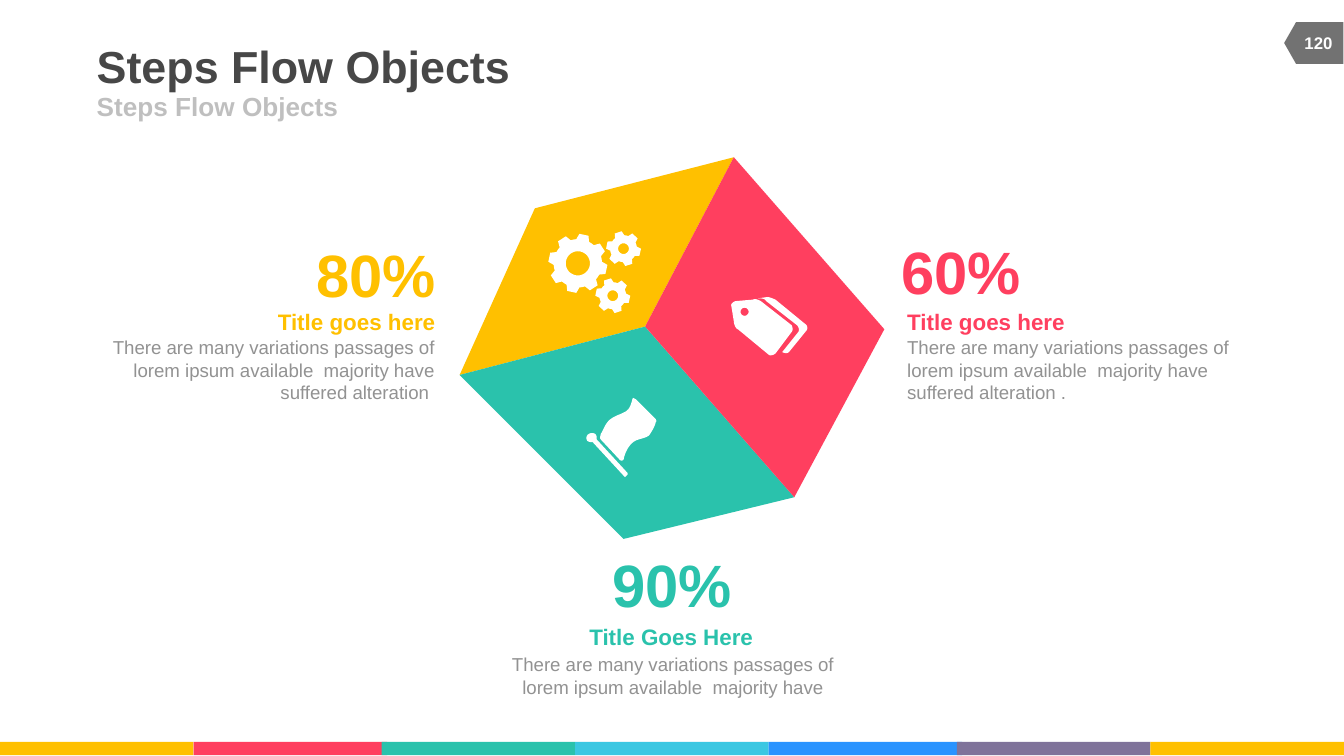
from math import cos, sin, radians
from pptx import Presentation, util as u
from pptx.dml.color import RGBColor
from pptx.enum import shapes as sh, text as tx

IN = u.Inches
FONT = "Arial"
HUES = {
    "gold": "FFC000", "red": "FF3F5F", "teal": "2AC2AC", "sky": "3BC7E2",
    "blue": "2993FF", "plum": "7F739A", "white": "FFFFFF", "dark": "474747",
    "pale": "BFBFBF", "gray": "929292", "badge": "727272",
}
LEFT, MID, RIGHT = tx.PP_ALIGN.LEFT, tx.PP_ALIGN.CENTER, tx.PP_ALIGN.RIGHT
BODY = "There are many variations passages of lorem ipsum available  majority have"

# Cube corners
TOP, CORE, WEST, NORTH = (5.46, 1.17), (4.8, 2.43), (3.42, 2.79), (3.98, 1.55)
EAST, SOUTH, BASE = (6.58, 2.45), (5.91, 3.7), (4.64, 4.01)
FACES = {
    "gold": [TOP, CORE, WEST, NORTH],
    "teal": [CORE, SOUTH, BASE, WEST],
    "red": [CORE, TOP, EAST, SOUTH],
}

# Icon outlines: pairs are corners, sixes are cubic curves
POLE = [(4.44, 3.27), (4.67, 3.52), (4.67, 3.53), (4.66, 3.54), (4.65, 3.55),
        (4.41, 3.29), (4.4, 3.29, 4.38, 3.29, 4.37, 3.28),
        (4.36, 3.27, 4.36, 3.24, 4.38, 3.23),
        (4.39, 3.22, 4.42, 3.22, 4.43, 3.23),
        (4.44, 3.24, 4.44, 3.25, 4.44, 3.27)]
CLOTH = [(4.88, 3.12), (4.88, 3.13, 4.89, 3.13, 4.88, 3.14),
         (4.87, 3.18, 4.85, 3.21, 4.83, 3.24),
         (4.79, 3.27, 4.74, 3.26, 4.7, 3.3),
         (4.67, 3.33, 4.65, 3.37, 4.64, 3.42),
         (4.63, 3.43, 4.62, 3.43, 4.61, 3.42), (4.47, 3.27),
         (4.46, 3.26, 4.47, 3.24, 4.47, 3.23),
         (4.49, 3.2, 4.5, 3.16, 4.53, 3.13),
         (4.56, 3.1, 4.6, 3.09, 4.64, 3.07),
         (4.7, 3.05, 4.7, 2.97, 4.71, 2.96), (4.73, 2.97)]
TAG = [(5.89, 2.47), (5.77, 2.63), (5.76, 2.64, 5.73, 2.65, 5.72, 2.64),
       (5.49, 2.45), (5.48, 2.45, 5.46, 2.42, 5.46, 2.39), (5.44, 2.27),
       (5.44, 2.26, 5.46, 2.24, 5.48, 2.24), (5.6, 2.23),
       (5.62, 2.22, 5.64, 2.23, 5.66, 2.24), (5.89, 2.42),
       (5.9, 2.44, 5.9, 2.46, 5.89, 2.47)]
BACK = [(6, 2.46), (5.87, 2.62), (5.86, 2.63, 5.84, 2.63, 5.82, 2.62),
        (5.94, 2.47), (5.95, 2.45, 5.94, 2.43, 5.93, 2.42), (5.7, 2.24),
        (5.69, 2.22, 5.66, 2.22, 5.64, 2.22), (5.71, 2.21),
        (5.72, 2.21, 5.75, 2.22, 5.77, 2.23), (5.99, 2.41),
        (6.01, 2.42, 6.01, 2.45, 6, 2.46)]


def rgb(hue):
    return RGBColor.from_string(HUES[hue])


def paint(shape, hue):
    shape.shadow.inherit = False
    shape.fill.solid()
    shape.fill.fore_color.rgb = rgb(hue)
    shape.line.fill.background()


def block(slide, kind, box, hue):
    shape = slide.shapes.add_shape(kind, *map(IN, box))
    paint(shape, hue)
    return shape


def label(slide, box, words, size, hue, bold=True, align=LEFT,
          anchor=tx.MSO_ANCHOR.TOP, wrap=False, inset=0):
    frame = slide.shapes.add_textbox(*map(IN, box)).text_frame
    frame.word_wrap = wrap
    frame.vertical_anchor = anchor
    frame.margin_left = frame.margin_right = IN(inset)
    frame.margin_top = frame.margin_bottom = IN(inset / 2)
    para = frame.paragraphs[0]
    para.text = words
    para.alignment = align
    font = para.font
    font.name, font.size, font.bold = FONT, u.Pt(size), bold
    font.color.rgb = rgb(hue)


def outline(slide, loops, hue):
    """Draw closed loops of points as one freeform."""
    loops = [[(IN(x), IN(y)) for x, y in loop] for loop in loops]
    pen = slide.shapes.build_freeform(*loops[0][0])
    for i, loop in enumerate(loops):
        if i:
            pen.move_to(*loop[0])
        pen.add_line_segments(loop[1:], close=True)
    paint(pen.convert_to_shape(), hue)


def trace(steps, count=8):
    """Turn corners and cubic curves into points."""
    dots = []
    for step in steps:
        if len(step) == 2:
            dots.append(step)
            continue
        knots = [dots[-1], step[:2], step[2:4], step[4:]]
        for i in range(1, count + 1):
            t = i / count
            mix = ((1 - t) ** 3, 3 * t * (1 - t) ** 2, 3 * t * t * (1 - t), t ** 3)
            dots.append(tuple(sum(m * k[a] for m, k in zip(mix, knots))
                              for a in (0, 1)))
    return dots


def polar(x, y, r, deg):
    return x + r * cos(radians(deg)), y + r * sin(radians(deg))


def ring(x, y, r):
    return [polar(x, y, r, -deg) for deg in range(0, 360, 10)]


def gear(x, y, rim, root, hole, teeth):
    """Give the loops of a toothed wheel with a round hole."""
    pitch = 360 / teeth
    edge = ((root, -0.35), (rim, -0.2), (rim, 0.2), (root, 0.35), (root, 0.5))
    wheel = [polar(x, y, r, 12 + pitch * (i + turn))
             for i in range(teeth) for r, turn in edge]
    return [wheel, ring(x, y, hole)]


def main():
    deck = Presentation()
    deck.slide_width = IN(10)
    deck.slide_height = deck.slide_width * 9 // 16
    slide = deck.slides.add_slide(deck.slide_layouts[6])
    middle = tx.MSO_ANCHOR.MIDDLE

    # Colour strip
    hues = ("gold", "red", "teal", "sky", "blue", "plum", "gold")
    lefts = (0, 1.44, 2.84, 4.28, 5.72, 7.12, 8.56)
    for left, hue in zip(lefts, hues):
        block(slide, sh.MSO_SHAPE.RECTANGLE, (left, 5.52, 1.44, 0.1), hue)

    # Page badge and headings
    badge = block(slide, sh.MSO_SHAPE.FLOWCHART_OFFPAGE_CONNECTOR,
                  (9.62, 0.1, 0.31, 0.44), "badge")
    badge.rotation = 90
    label(slide, (0.72, 0.29, 6.17, 0.39), "Steps Flow Objects", 24, "dark",
          anchor=middle)
    label(slide, (0.72, 0.68, 4.5, 0.22), "Steps Flow Objects", 14, "pale",
          anchor=middle, wrap=True)
    label(slide, (9.6, 0.17, 0.42, 0.3), "120", 9, "white",
          align=MID, anchor=middle, wrap=True, inset=0.1)

    # Cube faces
    for hue, face in FACES.items():
        outline(slide, [face], hue)

    # Icons
    gears = [*gear(4.3, 1.96, 0.22, 0.18, 0.09, 8),
             *gear(4.64, 1.85, 0.13, 0.1, 0.04, 6),
             *gear(4.56, 2.2, 0.13, 0.1, 0.04, 6)]
    for i in range(0, len(gears), 2):
        outline(slide, gears[i:i + 2], "white")
    outline(slide, [trace(POLE), trace(CLOTH)], "white")
    outline(slide, [trace(TAG), ring(5.54, 2.32, 0.03), trace(BACK)], "white")

    # Captions: share, title and body
    captions = [
        ("gold", RIGHT, "80%", (2.35, 1.76), "Title goes here", (2.05, 2.29, 1.19),
         BODY + "\v suffered alteration ", (0.78, 2.5, 2.45, 0.5)),
        ("red", LEFT, "60%", (6.7, 1.74), "Title goes here", (6.75, 2.29, 1.19),
         BODY + " suffered alteration .", (6.75, 2.5, 2.54, 0.5)),
        ("teal", MID, "90%", (4.55, 4.07), "Title Goes Here", (4.38, 4.64, 1.23),
         BODY, (3.66, 4.86, 2.69, 0.34)),
    ]
    for hue, align, share, spot, title, head, body, area in captions:
        label(slide, area, body, 10, "gray", bold=False, align=align, wrap=True)
        label(slide, (*head, 0.2), title, 12, hue, align=align)
        label(slide, (*spot, 0.9, 0.54), share, 32, hue, align=MID,
              anchor=tx.MSO_ANCHOR.BOTTOM)

    deck.save("out.pptx")


if __name__ == "__main__":
    main()
